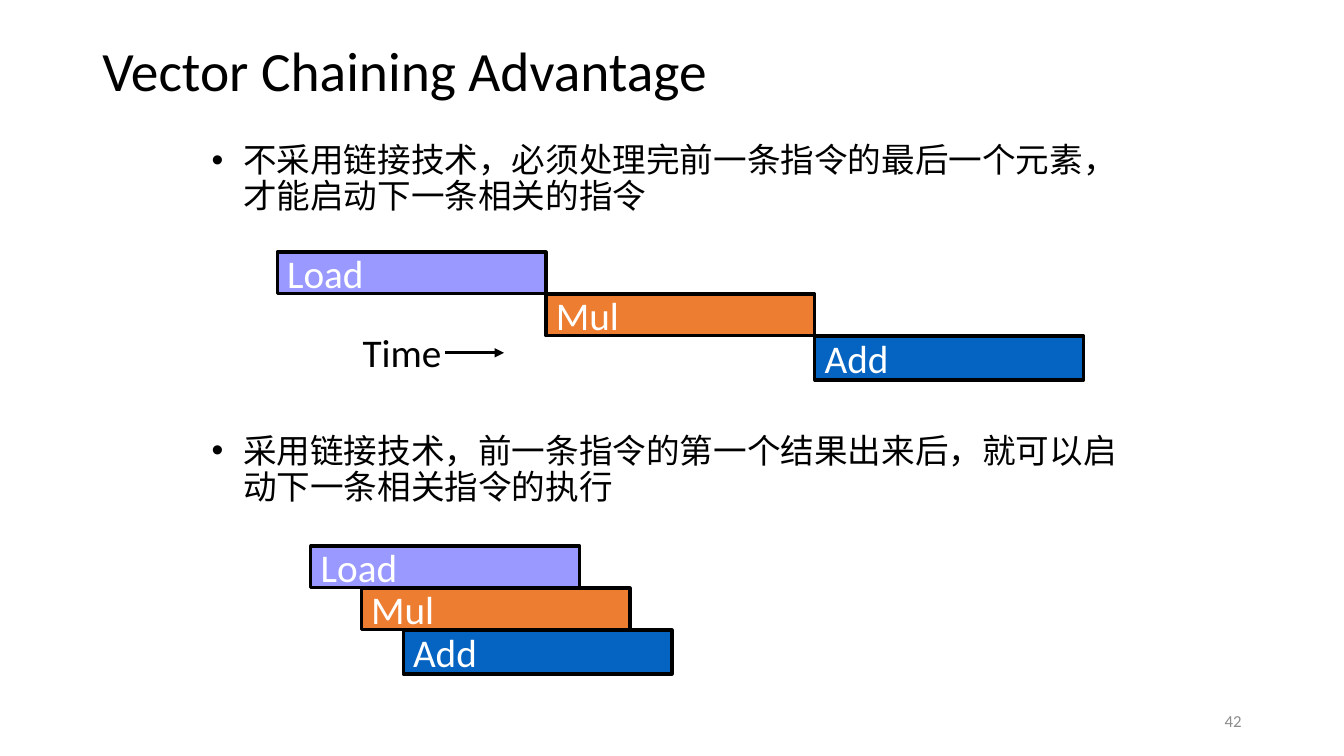
from lxml import etree
from pptx import Presentation
from pptx.dml.color import RGBColor
from pptx.enum.shapes import MSO_CONNECTOR, MSO_SHAPE
from pptx.enum.text import MSO_ANCHOR, MSO_AUTO_SIZE, PP_ALIGN
from pptx.oxml.ns import qn
from pptx.util import Pt

PX = 9525
RECTANGLE = MSO_SHAPE.RECTANGLE
STRAIGHT = MSO_CONNECTOR.STRAIGHT
MIDDLE = MSO_ANCHOR.MIDDLE
GROW = MSO_AUTO_SIZE.SHAPE_TO_FIT_TEXT
LEFT, RIGHT = PP_ALIGN.LEFT, PP_ALIGN.RIGHT
COLORS = {
    "black": "000000",
    "white": "FFFFFF",
    "gray": "8C8C8C",
    "Load": "9999FF",
    "Mul": "ED7D31",
    "Add": "0563C1",
}

deck = Presentation()
deck.slide_width = 1280 * PX
deck.slide_height = 720 * PX
page = deck.slides.add_slide(deck.slide_layouts[6])


def add_text(text, at, size=28, font="Calibri", color="black", align=LEFT,
             fill=None, wrap=True, grow=False, spacing=None, bullet=False):
    frame = [length * PX for length in at]
    if fill:
        box = page.shapes.add_shape(RECTANGLE, *frame)
        box.shadow.inherit = False
        box.fill.solid()
        box.fill.fore_color.rgb = RGBColor.from_string(COLORS[fill])
        box.line.color.rgb = RGBColor.from_string(COLORS["black"])
        box.line.width = Pt(2.25)
    else:
        box = page.shapes.add_textbox(*frame)
    body = box.text_frame
    body.word_wrap = wrap
    body.vertical_anchor = MIDDLE
    if grow:
        body.auto_size = GROW
    para = body.paragraphs[0]
    para.alignment = align
    if spacing:
        para.line_spacing = spacing
    if bullet:
        para.space_before = Pt(7)
        properties = para._p.get_or_add_pPr()
        properties.set("marL", str(30 * PX))
        properties.set("indent", str(-30 * PX))
        etree.SubElement(properties, qn("a:buFont")).set("typeface", "Arial")
        etree.SubElement(properties, qn("a:buChar")).set("char", "•")
    span = para.add_run()
    span.text = text
    span.font.size = Pt(size)
    span.font.name = font
    span.font.color.rgb = RGBColor.from_string(COLORS[color])


add_text("Vector Chaining Advantage", (88, 38, 1104, 64), size=39.6, spacing=0.9)
add_text("42", (904, 667, 288, 38), size=12, color="gray", align=RIGHT)

cases = [
    ("不采用链接技术，必须处理完前一条指令的最后一个元素，才能启动下一条相关的指令",
     131, 240, (264, 520, 776)),
    ("采用链接技术，前一条指令的第一个结果出来后，就可以启动下一条相关指令的执行",
     408, 520, (296, 344, 384)),
]
stages = [("Load", 40), ("Mul", 40), ("Add", 42)]
for sentence, text_top, bars_top, starts in cases:
    add_text(sentence, (192, text_top, 896, 80), size=24, font="Arial",
             grow=True, spacing=0.9, bullet=True)
    for row, ((stage, height), start) in enumerate(zip(stages, starts)):
        add_text(stage, (start, bars_top + row * 40, 256, height),
                 color="white", fill=stage)

add_text("Time", (336, 308, 95, 55), wrap=False, grow=True)
arrow = page.shapes.add_connector(STRAIGHT, 424 * PX, 336 * PX, 480 * PX, 336 * PX)
arrow.line.color.rgb = RGBColor.from_string(COLORS["black"])
arrow.line.width = Pt(2.25)
etree.SubElement(arrow.line._get_or_add_ln(), qn("a:tailEnd")).set("type", "triangle")
etree.SubElement(arrow._element.spPr, qn("a:effectLst"))

deck.save("out.pptx")
